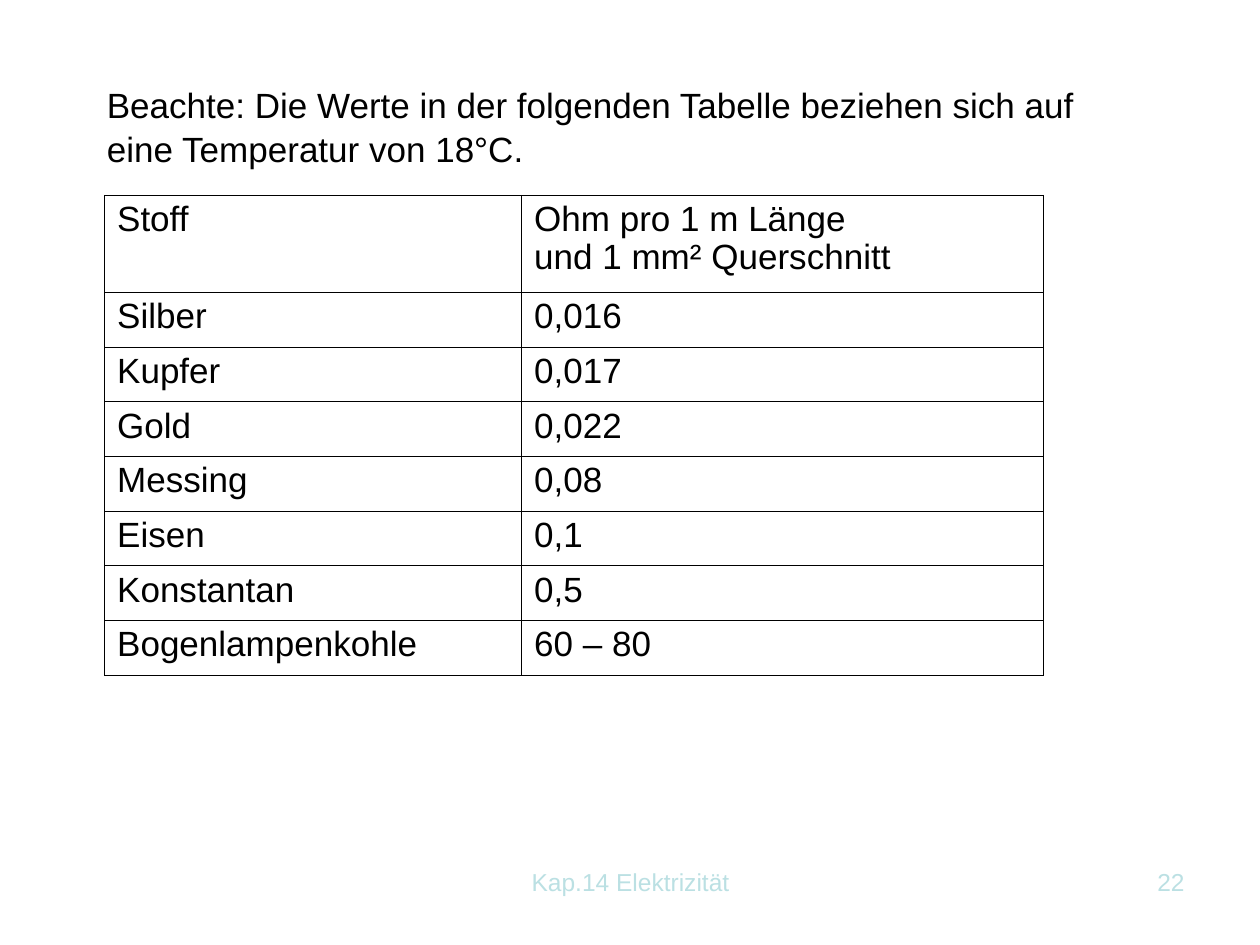
from dataclasses import dataclass

from lxml.etree import SubElement
from pptx import Presentation
from pptx.dml.color import RGBColor
from pptx.enum.text import PP_ALIGN
from pptx.oxml.ns import qn
from pptx.slide import Slide
from pptx.table import _Cell
from pptx.text.text import TextFrame
from pptx.util import Inches, Pt

BLACK = RGBColor(0x00, 0x00, 0x00)
PALE = RGBColor(0xBB, 0xE0, 0xE3)
FONT = "Arial"
WIDE, HIGH = Inches(10), Inches(7.5)
EDGE = Pt(0.45)


@dataclass(frozen=True)
class Label:
    text: str
    left: float
    top: float
    width: float
    height: float
    size: int
    color: RGBColor
    align: PP_ALIGN
    pitch: float = 1.0


@dataclass(frozen=True)
class Entry:
    name: str
    value: str


LABELS = (
    Label("Kap.14 Elektrizität", 0.342, 0.911, 0.317, 0.069, 14, PALE, PP_ALIGN.CENTER),
    Label("22", 0.717, 0.911, 0.233, 0.069, 14, PALE, PP_ALIGN.RIGHT),
    Label(
        "Beachte: Die Werte in der folgenden Tabelle beziehen sich auf "
        "eine Temperatur von 18°C.",
        0.075, 0.08, 0.843, 0.103, 20, BLACK, PP_ALIGN.LEFT, 1.05,
    ),
)
ENTRIES = (
    Entry("Stoff", "Ohm pro 1 m Länge\nund 1 mm² Querschnitt"),
    Entry("Silber", "0,016"),
    Entry("Kupfer", "0,017"),
    Entry("Gold", "0,022"),
    Entry("Messing", "0,08"),
    Entry("Eisen", "0,1"),
    Entry("Konstantan", "0,5"),
    Entry("Bogenlampenkohle", "60 – 80"),
)


def style(frame: TextFrame, size: int, color: RGBColor, align: PP_ALIGN, pitch: float) -> None:
    for para in frame.paragraphs:
        para.alignment = align
        para.line_spacing = pitch
        for run in para.runs:
            run.font.name = FONT
            run.font.size = Pt(size)
            run.font.color.rgb = color


def write(slide: Slide, label: Label) -> None:
    box = slide.shapes.add_textbox(
        int(label.left * WIDE), int(label.top * HIGH),
        int(label.width * WIDE), int(label.height * HIGH),
    )
    frame = box.text_frame
    frame.word_wrap = True
    frame.text = label.text
    style(frame, label.size, label.color, label.align, label.pitch)


def border(cell: _Cell) -> None:
    props = cell._tc.get_or_add_tcPr()
    for side in ("a:lnL", "a:lnR", "a:lnT", "a:lnB"):
        line = SubElement(props, qn(side), w=str(EDGE))
        fill = SubElement(line, qn("a:solidFill"))
        SubElement(fill, qn("a:srgbClr"), val=str(BLACK))


def fill_cell(cell: _Cell, text: str) -> None:
    cell.text_frame.text = text
    style(cell.text_frame, 20, BLACK, PP_ALIGN.LEFT, 0.97)
    border(cell)
    cell.fill.background()


def tabulate(slide: Slide) -> None:
    widths = (Inches(3.31), Inches(4.14))
    heights = [Inches(0.77)] + [Inches(0.434)] * (len(ENTRIES) - 1)
    table = slide.shapes.add_table(
        len(ENTRIES), len(widths), Inches(0.83), Inches(1.55), sum(widths), sum(heights)
    ).table
    table.first_row = False
    table.horz_banding = False
    for col, width in zip(table.columns, widths):
        col.width = width
    for row, height, entry in zip(table.rows, heights, ENTRIES):
        row.height = height
        for cell, text in zip(row.cells, (entry.name, entry.value)):
            fill_cell(cell, text)


def main() -> None:
    deck = Presentation()
    deck.slide_width, deck.slide_height = WIDE, HIGH
    slide = deck.slides.add_slide(deck.slide_layouts[6])
    for label in LABELS:
        write(slide, label)
    tabulate(slide)
    deck.save("out.pptx")


if __name__ == "__main__":
    main()
